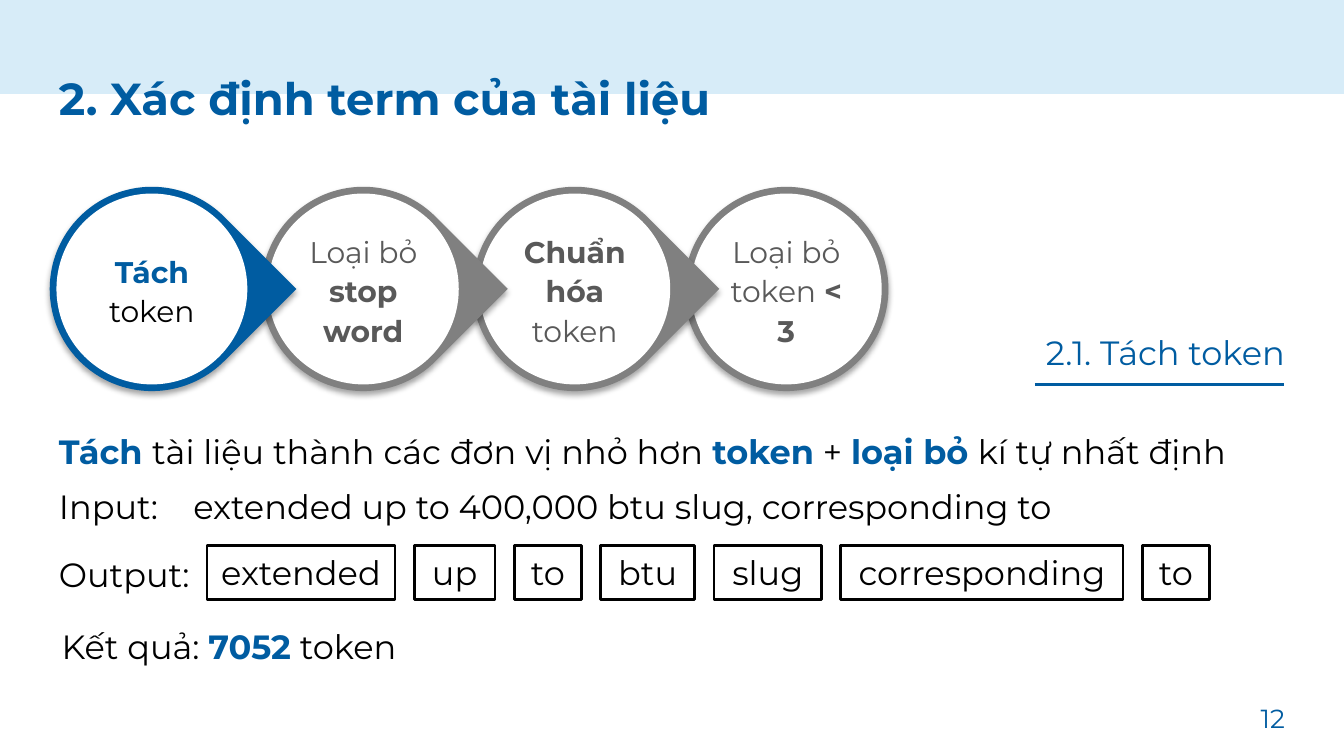
from lxml import etree
from pptx import Presentation
from pptx import util as u
from pptx.dml.color import RGBColor
from pptx.enum import shapes, text
from pptx.oxml import parse_xml
from pptx.oxml.ns import nsdecls, qn

BLUE = RGBColor(0x00, 0x5C, 0xA1)
PALE = RGBColor(0xD7, 0xEC, 0xF8)
GREY = RGBColor(0x80, 0x80, 0x80)
DARK = RGBColor(0x59, 0x59, 0x59)
BLACK = RGBColor(0, 0, 0)
WHITE = RGBColor(0xFF, 0xFF, 0xFF)
FONT = "Montserrat"
LEFT, RIGHT = text.PP_ALIGN.LEFT, text.PP_ALIGN.RIGHT
CENTER = text.PP_ALIGN.CENTER
MIDDLE, TOP = text.MSO_ANCHOR.MIDDLE, text.MSO_ANCHOR.TOP
SHAPE = shapes.MSO_SHAPE
SHADOW = (
    f'<a:effectLst {nsdecls("a")}>'
    '<a:outerShdw blurRad="40000" dist="23000" dir="5400000" rotWithShape="0">'
    '<a:srgbClr val="000000"><a:alpha val="35000"/></a:srgbClr>'
    '</a:outerShdw></a:effectLst>'
)


def write(sp, runs, size=18, align=LEFT, spacing=1.0, anchor=TOP, margins=(0.1, 0.05), grow=False):
    tf = sp.text_frame
    tf.word_wrap = True
    tf.auto_size = text.MSO_AUTO_SIZE.SHAPE_TO_FIT_TEXT if grow else text.MSO_AUTO_SIZE.NONE
    tf.vertical_anchor = anchor
    tf.margin_left = tf.margin_right = u.Inches(margins[0])
    tf.margin_top = tf.margin_bottom = u.Inches(margins[1])
    p = tf.paragraphs[0]
    p.alignment = align
    p.line_spacing = spacing
    for words, color, bold in runs:
        r = p.add_run()
        r.text = words
        r.font.name = FONT
        r.font.size = u.Pt(size)
        r.font.bold = bold
        r.font.color.rgb = color


def add_text(s, x, y, w, h, runs, **style):
    sp = s.shapes.add_textbox(u.Inches(x), u.Inches(y), u.Inches(w), u.Inches(h))
    write(sp, runs, **style)


def add_filled(s, kind, x, y, w, h, color):
    sp = s.shapes.add_shape(kind, u.Inches(x), u.Inches(y), u.Inches(w), u.Inches(h))
    sp.shadow.inherit = False
    sp.fill.solid()
    sp.fill.fore_color.rgb = color
    sp.line.fill.background()
    return sp


def add_step(s, x, color, runs, pointed):
    y, size, rim, inset = 1.39, 1.52, 0.05, 0.25
    ring = add_filled(s, SHAPE.TEAR if pointed else SHAPE.OVAL, x, y, size, size, color)
    if pointed:
        ring.rotation = 45
    props = ring._element.spPr
    props.replace(props.find(qn("a:effectLst")), parse_xml(SHADOW))
    add_filled(s, SHAPE.OVAL, x + rim, y + rim, size - 2 * rim, size - 2 * rim, WHITE)
    add_text(s, x + inset, y + inset, size - 2 * inset, size - 2 * inset, runs, size=16,
             align=CENTER, spacing=1.1, anchor=MIDDLE, margins=(0.02, 0.02))


def add_token(s, x, w, word):
    sp = s.shapes.add_shape(SHAPE.RECTANGLE, u.Inches(x), u.Inches(4.06), u.Inches(w), u.Inches(0.4))
    sp.shadow.inherit = False
    sp.fill.background()
    sp.line.color.rgb = BLACK
    sp.line.width = u.Pt(1.5)
    write(sp, [(word, BLACK, False)], align=CENTER, margins=(0, 0.05), grow=True)


def add_rule(s, x1, x2, y):
    line = s.shapes.add_connector(shapes.MSO_CONNECTOR.STRAIGHT,
                                  u.Inches(x1), u.Inches(y), u.Inches(x2), u.Inches(y))
    line.line.color.rgb = BLUE
    line.line.width = u.Pt(1.5)
    etree.SubElement(line._element.spPr, qn("a:effectLst"))


def main():
    """Build the slide on determining the terms of a document."""
    prs = Presentation()
    prs.slide_width = u.Inches(10)
    prs.slide_height = prs.slide_width * 9 // 16
    s = prs.slides.add_slide(prs.slide_layouts[6])

    add_filled(s, SHAPE.RECTANGLE, 0, 0, 10, 0.7, PALE)
    add_text(s, 0.34, 0.35, 9.32, 1.1, [("2. Xác định term của tài liệu", BLUE, True)],
             size=24, spacing=1.2, margins=(0.1, 0.1))
    add_text(s, 9.06, 5.14, 0.6, 0.43, [("12", BLUE, False)], size=14, align=RIGHT,
             spacing=0.9, anchor=MIDDLE, margins=(0.1, 0.1))

    steps = [
        (BLUE, [("Tách ", BLUE, True), ("token", BLACK, False)]),
        (GREY, [("Loại bỏ ", DARK, False), ("stop word", DARK, True)]),
        (GREY, [("Chuẩn hóa ", DARK, True), ("token", DARK, False)]),
        (GREY, [("Loại bỏ token ", DARK, False), ("< 3", DARK, True)]),
    ]
    first, last = 0.37, 5.09
    pitch = (last - first) / (len(steps) - 1)
    for i, (color, runs) in reversed(list(enumerate(steps))):
        add_step(s, first + i * pitch, color, runs, pointed=i < len(steps) - 1)

    add_text(s, 6.16, 2.42, 3.5, 0.4, [("2.1. Tách token", BLUE, False)], align=RIGHT, grow=True)
    add_rule(s, 7.7, 9.55, 2.86)

    add_text(s, 0.34, 3.1, 9, 0.44, [
        ("Tách ", BLUE, True), ("tài liệu thành các đơn vị nhỏ hơn ", BLACK, False),
        ("token", BLUE, True), (" + ", BLACK, False),
        ("loại bỏ ", BLUE, True), ("kí tự nhất định", BLACK, False),
    ], spacing=1.2, grow=True)
    for x, y, w, words in [
        (0.34, 3.57, 1, "Input:"),
        (1.34, 3.57, 6.7, "extended up to 400,000 btu slug, corresponding to"),
        (0.34, 4.07, 1.2, "Output:"),
    ]:
        add_text(s, x, y, w, 0.4, [(words, BLACK, False)], grow=True)

    tokens = [("extended", 1.4), ("up", 0.6), ("to", 0.5), ("btu", 0.7), ("slug", 0.8),
              ("corresponding", 2.1), ("to", 0.5)]
    x, end = 1.54, 9
    gap = (end - x - sum(w for _, w in tokens)) / (len(tokens) - 1)
    for word, w in tokens:
        add_token(s, x, w, word)
        x += w + gap

    add_text(s, 0.36, 4.55, 9, 0.44, [
        ("Kết quả: ", BLACK, False), ("7052", BLUE, True), (" token", BLACK, False),
    ], spacing=1.2, grow=True)
    prs.save("out.pptx")


if __name__ == "__main__":
    main()
